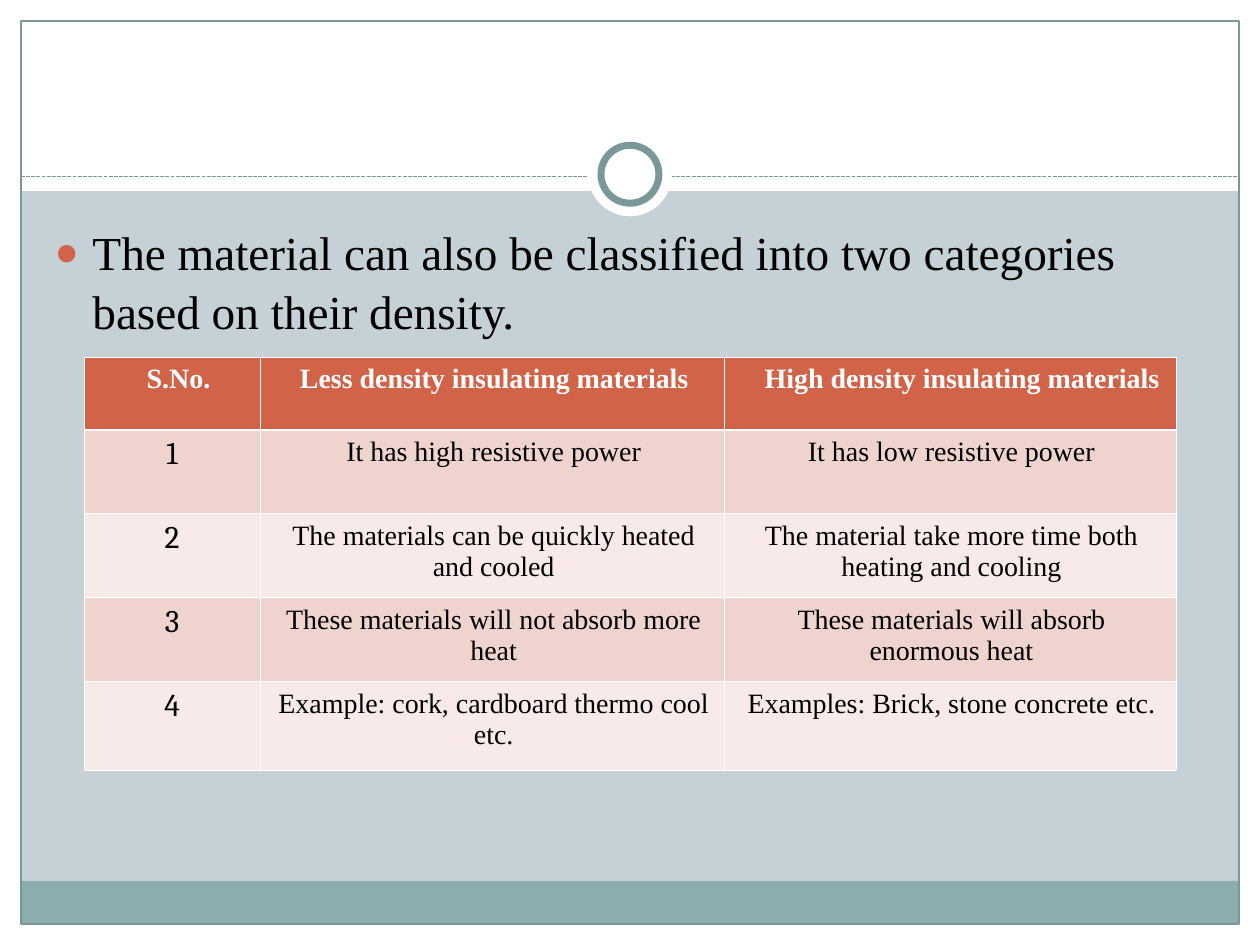
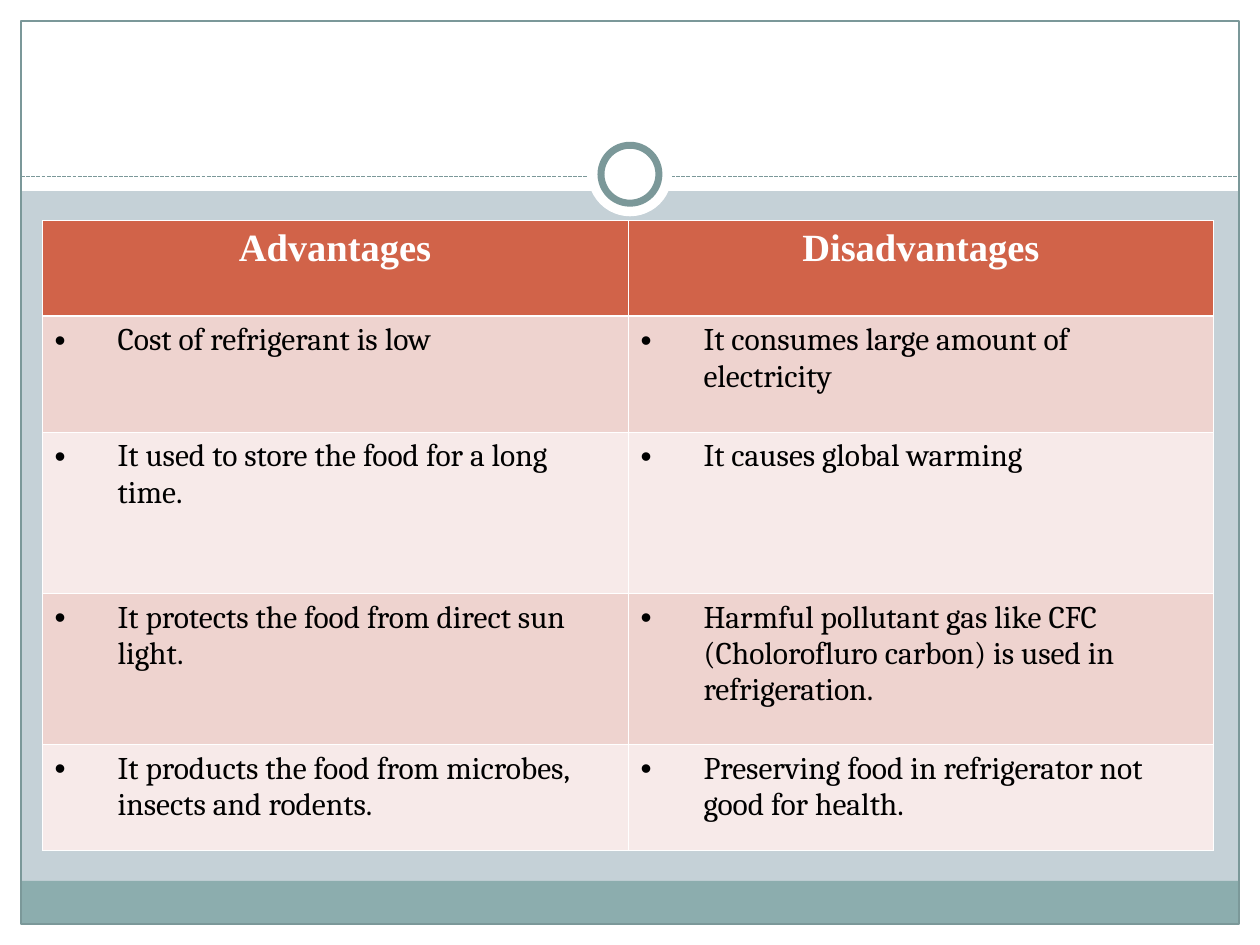
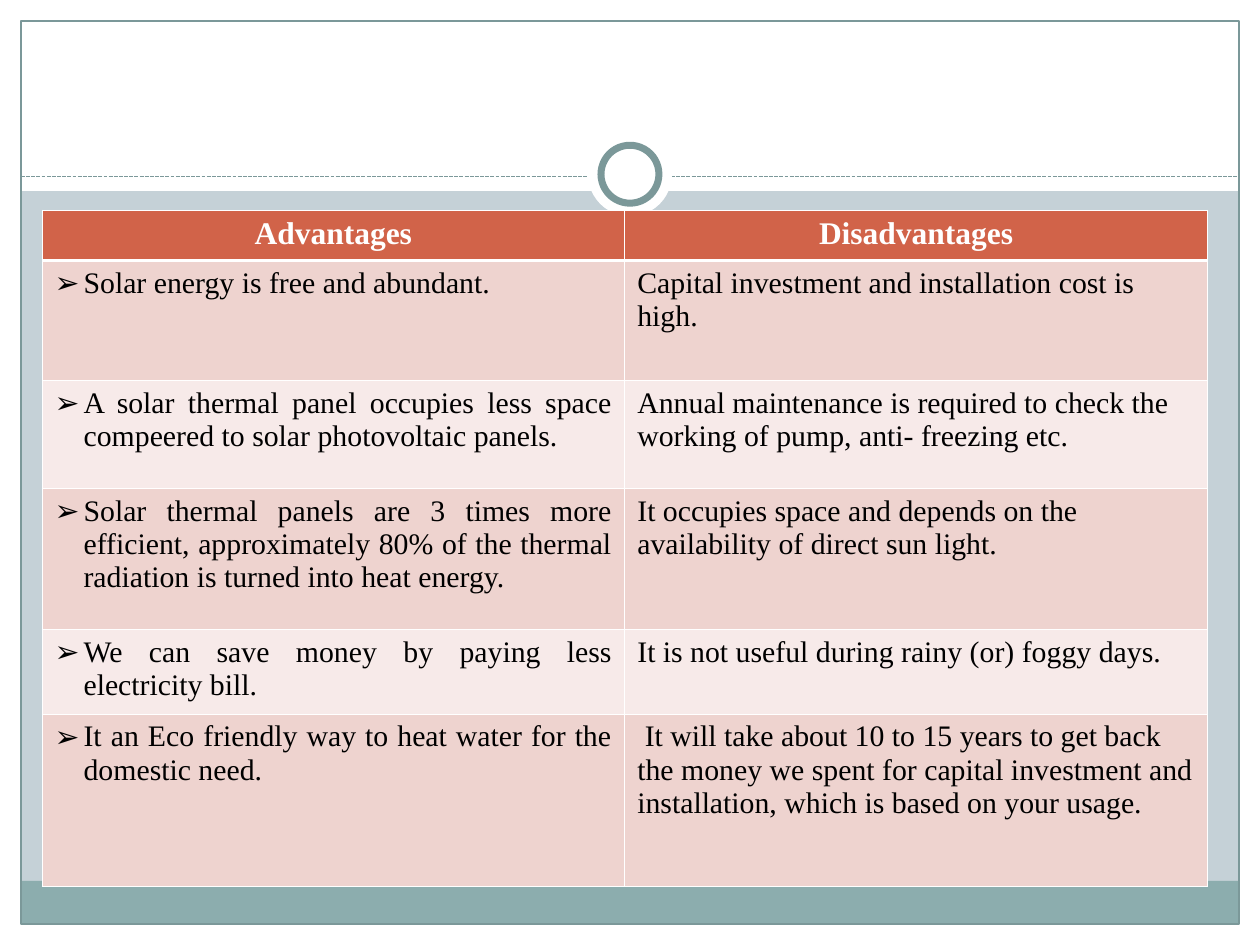
from collections import namedtuple

from lxml.etree import SubElement
from pptx import Presentation
from pptx.dml.color import RGBColor
from pptx.enum.dml import MSO_LINE
from pptx.enum.shapes import MSO_CONNECTOR, MSO_SHAPE
from pptx.enum.text import MSO_AUTO_SIZE, PP_ALIGN
from pptx.oxml.ns import qn
from pptx.util import Inches, Pt

WHITE = RGBColor(0xFF, 0xFF, 0xFF)
BLACK = RGBColor(0x00, 0x00, 0x00)
MIST = RGBColor(0xC5, 0xD1, 0xD7)
TEAL = RGBColor(0x8C, 0xAD, 0xAE)
SLATE = RGBColor(0x7B, 0x98, 0x99)
RUST = RGBColor(0xD1, 0x63, 0x49)
ROSE = RGBColor(0xEE, 0xD3, 0xCF)
BLUSH = RGBColor(0xF7, 0xEA, 0xE9)

SERIF = "Times New Roman"
BOOK = "Cambria"
COLUMNS, ROWS = 60, 45
THIN, THICK = 0.45, 1.47

Box = namedtuple("Box", "left top width height")
Style = namedtuple("Style", "size font color bold align bullet indent",
                   defaults=(BLACK, False, PP_ALIGN.LEFT, None, 0))

DENSITY_ROWS = [
    ("S.No.", "Less density insulating materials", "High density insulating materials"),
    ("1", "It has high resistive power", "It has low resistive power"),
    ("2", "The materials can be quickly heated and cooled",
     "The material take more time both heating and cooling"),
    ("3", "These materials will not absorb more heat",
     "These materials will absorb enormous heat"),
    ("4", "Example: cork, cardboard thermo cool etc.",
     "Examples: Brick, stone concrete etc."),
]
REFRIGERATOR_ROWS = [
    ("Advantages", "Disadvantages"),
    ("Cost of refrigerant is low", "It consumes large amount of electricity"),
    ("It used to store the food for a long time.", "It causes global warming"),
    ("It protects the food from direct sun light.",
     "Harmful pollutant gas like CFC (Cholorofluro carbon) is used in refrigeration."),
    ("It products the food from microbes, insects and rodents.",
     "Preserving food in refrigerator not good for health."),
]
SOLAR_ROWS = [
    ("Advantages", "Disadvantages"),
    ("Solar energy is free and abundant.",
     "Capital investment and installation cost is high."),
    ("A solar thermal panel occupies less space compeered to solar photovoltaic panels.",
     "Annual maintenance is required to check the working of pump, anti- freezing etc."),
    ("Solar thermal panels are 3 times more efficient, approximately 80% of the "
     "thermal radiation is turned into heat energy.",
     "It occupies space and depends on the availability of direct sun light."),
    ("We can save money by paying less electricity bill.",
     "It is not useful during rainy (or) foggy days."),
    ("It an Eco friendly way to heat water for the domestic need.",
     " It will take about 10 to 15 years to get back the money we spent for capital "
     "investment and installation, which is based on your usage."),
]


def grid(count):
    """Turn grid units into a length; a unit is a sixtieth of the slide's width."""
    return Inches(count * 10 / COLUMNS)


def place(box):
    """Return a grid box as left, top, width and height."""
    return [grid(value) for value in box]


def add_figure(page, kind, box, fill=None, line=None, weight=0.75):
    """Add one plain preset shape."""
    figure = page.shapes.add_shape(kind, *place(box))
    figure.shadow.inherit = False
    if fill is None:
        figure.fill.background()
    else:
        figure.fill.solid()
        figure.fill.fore_color.rgb = fill
    if line is None:
        figure.line.fill.background()
    else:
        figure.line.color.rgb = line
        figure.line.width = Pt(weight)


def add_ring(page, center_x, center_y):
    """Draw the white disc and the ring inside it around a centre."""
    for size, line in ((4, None), (2.76, SLATE)):
        box = Box(center_x - size / 2, center_y - size / 2, size, size)
        add_figure(page, MSO_SHAPE.OVAL, box, WHITE, line, 4)


def draw_frame(page, box):
    """Draw the margins, bands, outline, dashed rule and ring around a box."""
    right, bottom = box.left + box.width, box.top + box.height
    bands = [
        (Box(0, bottom, COLUMNS, ROWS - bottom), WHITE),
        (Box(0, 0, COLUMNS, 9.1), WHITE),
        (Box(0, 0, box.left, ROWS), WHITE),
        (Box(right, 0, COLUMNS - right, ROWS), WHITE),
        (Box(box.left, bottom - 2.05, box.width, 2.05), TEAL),
    ]
    for band, color in bands:
        add_figure(page, MSO_SHAPE.RECTANGLE, band, color)
    add_figure(page, MSO_SHAPE.RECTANGLE, box, line=SLATE)
    height = grid(box.top + 7.4)
    rule = page.shapes.add_connector(
        MSO_CONNECTOR.STRAIGHT, grid(box.left), height, grid(right), height)
    rule.line.color.rgb = SLATE
    rule.line.width = Pt(0.75)
    rule.line.dash_style = MSO_LINE.SQUARE_DOT
    SubElement(rule.element.spPr, qn("a:effectLst"))
    add_ring(page, COLUMNS / 2, box.top + 7.3)


def share_frame(deck, page):
    """Draw the frame once and hand it to the slide master."""
    deck.slide_master.background.fill.solid()
    deck.slide_master.background.fill.fore_color.rgb = MIST
    kept = len(page.shapes)
    draw_frame(page, Box(1, 1, COLUMNS - 2, ROWS - 2))
    for number, part in enumerate(list(page.shapes)[kept:], start=101):
        part.element.xpath(".//p:cNvPr")[0].set("id", str(number))
        deck.slide_master.shapes.element.append(part.element)


def set_bullet(para, sign, indent, color, percent=100):
    """Give a paragraph a hanging bullet."""
    props = para._p.get_or_add_pPr()
    props.set("marL", str(Inches(indent)))
    props.set("indent", str(-Inches(indent)))
    SubElement(SubElement(props, qn("a:buClr")), qn("a:srgbClr")).set("val", str(color))
    SubElement(props, qn("a:buSzPct")).set("val", str(percent * 1000))
    SubElement(props, qn("a:buFont")).set("typeface", "Arial")
    SubElement(props, qn("a:buChar")).set("char", sign)


def write(para, words, style):
    """Add one run in the given style."""
    para.alignment = style.align
    span = para.add_run()
    span.text = words
    span.font.size = Pt(style.size)
    span.font.name = style.font
    span.font.bold = style.bold
    span.font.color.rgb = style.color


def set_borders(cell, top, bottom):
    """Put white lines on the four sides of a cell."""
    props = cell._tc.get_or_add_tcPr()
    sides = (("a:lnL", THIN), ("a:lnR", THIN), ("a:lnT", top), ("a:lnB", bottom))
    for index, (side, weight) in enumerate(sides):
        line = props.makeelement(qn(side), {"w": str(Pt(weight))})
        fill = SubElement(line, qn("a:solidFill"))
        SubElement(fill, qn("a:srgbClr")).set("val", str(WHITE))
        props.insert(index, line)


def fill_cell(cell, words, style, row):
    """Write, colour and border one cell according to its row."""
    cell.fill.solid()
    cell.fill.fore_color.rgb = RUST if row == 0 else (BLUSH, ROSE)[row % 2]
    set_borders(cell, THICK if row == 1 else THIN, THICK if row == 0 else THIN)
    para = cell.text_frame.paragraphs[0]
    if style.bullet:
        set_bullet(para, style.bullet, style.indent, BLACK)
    elif style.indent:
        para._p.get_or_add_pPr().set("marL", str(Inches(style.indent)))
    write(para, words, style)


def add_banded_table(page, left, top, widths, heights, rows, heads, styles):
    """Add a table with a rust head row and two-tone body rows."""
    box = Box(left, top, sum(widths), sum(heights))
    table = page.shapes.add_table(len(rows), len(widths), *place(box)).table
    for column, width in zip(table.columns, widths):
        column.width = grid(width)
    for row, (height, texts) in enumerate(zip(heights, rows)):
        table.rows[row].height = grid(height)
        row_styles = styles if row else heads
        for column, (words, style) in enumerate(zip(texts, row_styles)):
            fill_cell(table.cell(row, column), words, style, row)


def head_style(size, indent=0):
    """Return the style of a head cell."""
    return Style(size, SERIF, WHITE, True, PP_ALIGN.CENTER, None, indent)


def fill_statement(body, box):
    """Write the bulleted statement into the body placeholder."""
    body.left, body.top, body.width, body.height = place(box)
    frame = body.text_frame
    frame.auto_size = MSO_AUTO_SIZE.NONE
    frame.margin_top = Inches(0.08)
    para = frame.paragraphs[0]
    para.space_before = Pt(0)
    para.line_spacing = 1.05
    set_bullet(para, "●", 0.3, RUST, 85)
    write(para, "The material can also be classified into two categories "
          "based on their density.", Style(27, SERIF))


def build_density_page(deck):
    """Build the slide that compares materials by density."""
    page = deck.slides.add_slide(deck.slide_layouts[1])
    title, body = page.placeholders
    title.element.getparent().remove(title.element)
    fill_statement(body, Box(2, 10, 55.8, 30))
    centered = Style(16, SERIF, align=PP_ALIGN.CENTER, indent=0.02)
    number = Style(18, BOOK, align=PP_ALIGN.CENTER)
    heads = [head_style(16, indent) for indent in (0.1, 0.03, 0.19)]
    add_banded_table(page, 4, 17, [8.4, 22.1, 21.5], [3.47, 4, 4, 4, 4.2],
                     DENSITY_ROWS, heads, [number, centered, centered])
    return page


def build_comparison_page(deck, top, width, heights, rows, head, styles):
    """Build a slide of advantages and disadvantages."""
    page = deck.slides.add_slide(deck.slide_layouts[6])
    add_banded_table(page, 2, top, [width / 2] * 2, heights, rows, [head] * 2, styles)


def main():
    """Build and save the deck."""
    deck = Presentation()
    deck.slide_width, deck.slide_height = grid(COLUMNS), grid(ROWS)
    share_frame(deck, build_density_page(deck))
    dotted = Style(18, BOOK, bullet="•", indent=0.5)
    build_comparison_page(deck, 10.5, 55.8, [4.56, 5.52, 7.68, 7.2, 5.04],
                          REFRIGERATOR_ROWS, head_style(22), [dotted, dotted])
    arrowed = Style(17, SERIF, align=PP_ALIGN.JUSTIFY, bullet="➢", indent=0.23)
    build_comparison_page(deck, 10, 55.5, [2.4, 5.7, 5.16, 6.72, 4.02, 8.22],
                          SOLAR_ROWS, head_style(18), [arrowed, Style(17, SERIF)])
    deck.save("out.pptx")


if __name__ == "__main__":
    main()
